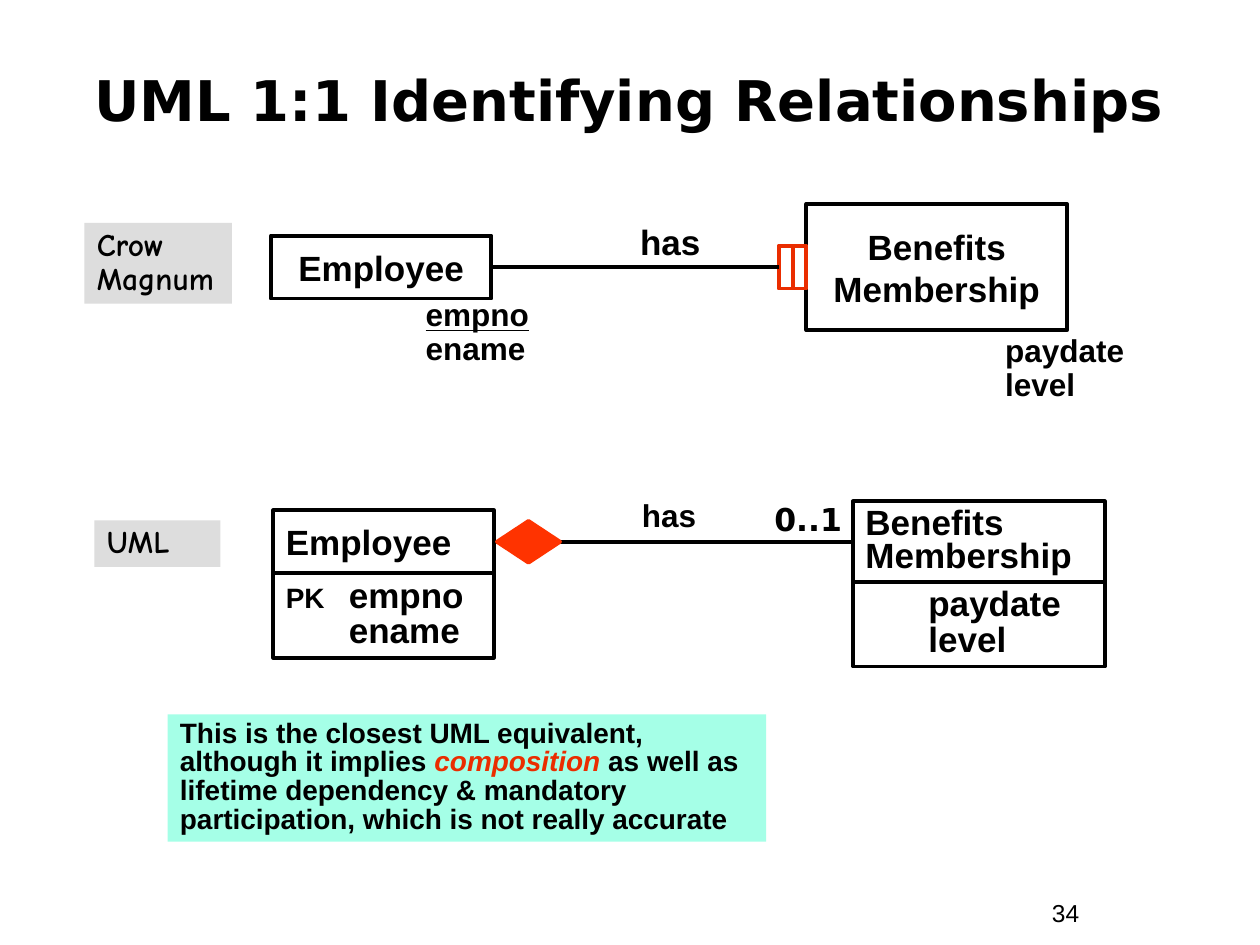
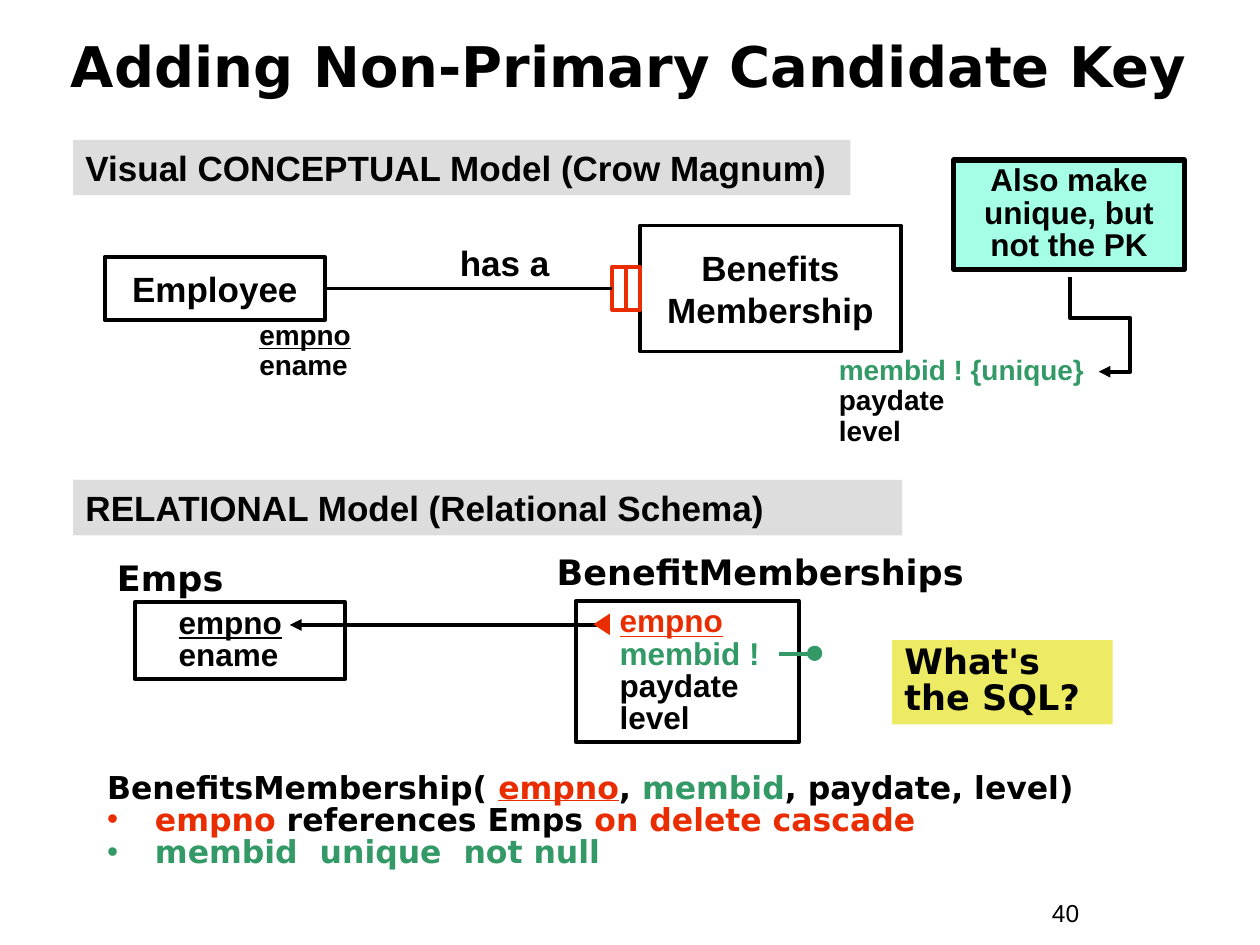
from lxml import etree
from pptx import Presentation
from pptx import util as u
from pptx.dml import color
from pptx.enum import shapes, text
from pptx.oxml import ns

SCALE = 9144
BLACK, RED, GREEN = "000000", "EA2D00", "339966"
GREY, MINT, YELLOW, ORANGE = "DDDDDD", "A5FFE7", "EDEA63", "FF3300"
SANS, TITLE, COMIC = "Arial", "DejaVu Sans", "Comic Neue"
LEFT, CENTER = text.PP_ALIGN.LEFT, text.PP_ALIGN.CENTER
TOP, MIDDLE = text.MSO_ANCHOR.TOP, text.MSO_ANCHOR.MIDDLE
KIND = shapes.MSO_SHAPE
WIRE = shapes.MSO_CONNECTOR


def px(n):
    return u.Emu(n * SCALE)


def rgb(value):
    return color.RGBColor.from_string(value)


def sub(parent, tag, **attrs):
    return etree.SubElement(parent, ns.qn(tag), **attrs)


def run(words, **style):
    return words, style


class Deck:
    def __init__(self):
        self.prs = Presentation()
        self.prs.slide_width, self.prs.slide_height = px(1000), px(750)
        self.s = None

    def slide(self, title, number, top, layout=5, spacing=1.0):
        self.s = self.prs.slides.add_slide(self.prs.slide_layouts[layout])
        sp = self.place(self.s.shapes.title, 33, top, 933, 92)
        self.fill_text(sp, [title], 32, font=TITLE, align=CENTER, anchor=MIDDLE, spacing=spacing)
        self.label(825, 708, 92, 34, [str(number)], 14, bold=False)

    def place(self, sp, x, y, w, h):
        sp.left, sp.top, sp.width, sp.height = map(px, (x, y, w, h))
        return sp

    def fill_text(self, sp, lines, size, font=SANS, bold=True, align=LEFT, anchor=TOP,
                  spacing=1.0, indent=0, hanging=0, tab=None, bullets=(), wrap=True):
        tf = sp.text_frame
        tf.word_wrap, tf.auto_size = wrap, text.MSO_AUTO_SIZE.NONE
        tf.vertical_anchor = anchor
        for i, line in enumerate(lines):
            p = tf.paragraphs[0] if i == 0 else tf.add_paragraph()
            p.alignment, p.line_spacing = align, spacing
            p.space_before = u.Pt(0)
            self.indent(p, indent, hanging, tab, bullets[i] if bullets else None)
            for words, style in [run(line)] if isinstance(line, str) else line:
                for j, part in enumerate(words.split("\n")):
                    if j:
                        p.add_line_break()
                    r = p.add_run()
                    r.text = part
                    r.font.name, r.font.bold = font, bold
                    r.font.size = u.Pt(style.get("size", size))
                    r.font.color.rgb = rgb(style.get("ink", BLACK))
                    r.font.underline = style.get("underline")
                    r.font.italic = style.get("italic")

    def indent(self, p, indent, hanging, tab, bullet):
        pPr = p._p.get_or_add_pPr()
        pPr.set("marL", str(px(indent)))
        pPr.set("indent", str(px(-hanging)))
        if bullet:
            sub(sub(pPr, "a:buClr"), "a:srgbClr", val=bullet)
            sub(pPr, "a:buFont", typeface=SANS)
            sub(pPr, "a:buChar", char="•")
        else:
            sub(pPr, "a:buNone")
        if tab:
            sub(sub(pPr, "a:tabLst"), "a:tab", pos=str(px(tab)), algn="l")

    def label(self, x, y, w, h, lines, size, **style):
        sp = self.s.shapes.add_textbox(*map(px, (x, y, w, h)))
        self.fill_text(sp, lines, size, **style)

    def body(self, x, y, w, h, lines, size, **style):
        sp = self.place(self.s.placeholders[1], x, y, w, h)
        self.fill_text(sp, lines, size, **style)

    def shape(self, x, y, w, h, kind=KIND.RECTANGLE, fill=None, line=None, weight=2.25, turn=0):
        sp = self.s.shapes.add_shape(kind, *map(px, (x, y, w, h)))
        sp.shadow.inherit = False
        sp.rotation = turn
        if fill:
            sp.fill.solid()
            sp.fill.fore_color.rgb = rgb(fill)
        else:
            sp.fill.background()
        if line:
            sp.line.color.rgb = rgb(line)
            sp.line.width = u.Pt(weight)
        else:
            sp.line.fill.background()
        return sp

    def box(self, x, y, w, h, lines, size, fill=None, line=None, weight=2.25, **style):
        sp = self.shape(x, y, w, h, fill=fill, line=line, weight=weight)
        self.fill_text(sp, lines, size, **style)
        return sp

    def entity(self, x, y, w, h, name, **style):
        return self.box(x, y, w, h, [name], 20, line=BLACK, anchor=MIDDLE, **style)

    def wire(self, x1, y1, x2, y2, ink=BLACK, arrow=False, kind=WIRE.STRAIGHT):
        c = self.s.shapes.add_connector(kind, *map(px, (x1, y1, x2, y2)))
        c.line.color.rgb = rgb(ink)
        c.line.width = u.Pt(2.25)
        spPr = c._element.spPr
        if arrow:
            sub(spPr.find(ns.qn("a:ln")), "a:tailEnd", type="triangle")
        sub(spPr, "a:effectLst")
        return c

    def join(self, start, end):
        c = self.wire(0, 0, 1, 1)
        c.begin_connect(start, 3)
        c.end_connect(end, 1)

    def elbow(self, x, y, w, h, turn, *bends):
        c = self.wire(x, y, x + w, y + h, arrow=True, kind=WIRE.ELBOW)
        spPr = c._element.spPr
        xfrm = spPr.find(ns.qn("a:xfrm"))
        xfrm.set("rot", str(turn * 60000))
        xfrm.set("flipH", "1")
        geom = spPr.find(ns.qn("a:prstGeom"))
        geom.set("prst", f"bentConnector{len(bends) + 2}")
        for old in list(geom):
            geom.remove(old)
        guides = sub(geom, "a:avLst")
        for i, bend in enumerate(bends, 1):
            sub(guides, "a:gd", name=f"adj{i}", fmla=f"val {bend * 1000}")

    def crow_magnum(self, x, y, verb, verb_width, size, attributes):
        employee = self.entity(x, y, 175, 50, "Employee", align=CENTER)
        self.entity(x + 425, y - 25, 207, 100, "Benefits\nMembership", align=CENTER)
        bars = [self.shape(x + left, y + 8, 11, 34, line=RED) for left in (414, 403)]
        self.s.shapes.add_group_shape(bars)
        self.join(employee, bars[1])
        self.label(x + 317 - verb_width // 2, y - 17, verb_width, 44, [verb], 20,
                   align=CENTER, wrap=False)
        self.label(x + 113, y + 46, 121, 64, [[run("empno", underline=True)], "ename"],
                   size, spacing=0.9)
        self.label(x + 573, y + 74, 244, 82, attributes, size, spacing=0.9)


def identifying(d):
    d.slide("UML 1:1 Identifying Relationships", 34, 33)
    d.box(75, 413, 100, 37, ["UML"], 18, fill=GREY, font=COMIC, spacing=0.9)
    d.box(67, 177, 117, 64, ["Crow\nMagnum"], 18, fill=GREY, font=COMIC, spacing=0.9)
    d.crow_magnum(215, 187, "has", 68, 18, ["paydate", "level"])

    employee = d.entity(217, 405, 175, 50, "Employee")
    benefits = d.entity(677, 398, 200, 64, "Benefits\nMembership", spacing=0.8)
    d.join(employee, benefits)
    d.box(217, 455, 175, 67, [[run("PK", size=16), run("\tempno")], "\tename"], 20,
          line=BLACK, spacing=0.85, tab=51)
    d.box(677, 462, 200, 67, ["\tpaydate", "\tlevel"], 20, line=BLACK, spacing=0.85, tab=50)
    d.shape(403, 405, 33, 50, KIND.FLOWCHART_SORT, fill=ORANGE, line=ORANGE, turn=270)
    d.label(468, 393, 126, 36, ["has"], 18, align=CENTER, spacing=0.85)
    d.label(600, 392, 83, 40, ["0..1"], 18, font=TITLE, align=CENTER)
    d.box(133, 567, 475, 101, [[
        run("This is the closest UML equivalent, although it implies "),
        run("composition", ink=RED, italic=True),
        run(" as well as lifetime dependency & mandatory participation, "
            "which is not really accurate")]], 16, fill=MINT, spacing=0.85)


def candidate_key(d):
    d.slide("Adding Non-Primary Candidate Key", 40, 11, layout=1, spacing=0.8)
    d.box(58, 111, 617, 44, ["Visual CONCEPTUAL Model (Crow Magnum)"], 20, fill=GREY)
    d.box(58, 381, 658, 44, ["RELATIONAL Model (Relational Schema)"], 20, fill=GREY)
    d.crow_magnum(83, 204, "has a", 91, 16,
                  [[run("membid ! {unique}", ink=GREEN)], "paydate", "level"])
    d.box(757, 127, 183, 87, ["Also make unique, but not the PK"], 18, fill=MINT,
          line=BLACK, weight=3, align=CENTER, spacing=0.85)
    d.elbow(823, 246, 75, 23, 270, 43, 209)

    d.label(83, 437, 215, 44, ["Emps"], 20, font=TITLE)
    d.label(432, 437, 485, 39, ["BenefitMemberships"], 20, font=TITLE, spacing=0.85)
    d.box(107, 478, 167, 61, [[run("empno", underline=True)], "ename"], 18,
          line=BLACK, spacing=0.85, indent=25)
    d.box(457, 477, 177, 112,
          [[run("empno", ink=RED, underline=True)], [run("membid !", ink=GREEN)],
           "paydate", "level"], 18, line=BLACK, spacing=0.85, indent=25)
    d.wire(484, 496, 230, 496, arrow=True)
    d.shape(469, 489, 17, 13, KIND.ISOSCELES_TRIANGLE, fill=RED, turn=270)
    dot = d.shape(642, 514, 9, 9, KIND.OVAL, fill=GREEN, line=GREEN)
    d.s.shapes.add_group_shape([dot, d.wire(643, 519, 618, 519, ink=GREEN)])
    d.box(708, 508, 175, 67, ["What's\nthe SQL?"], 20, fill=YELLOW, font=TITLE, spacing=0.85)
    d.body(75, 609, 842, 87, [
        [run("BenefitsMembership( "), run("empno", ink=RED, underline=True), run(", "),
         run("membid", ink=GREEN), run(", paydate, level)")],
        [run("empno", ink=RED), run(" references Emps "), run("on delete cascade", ink=RED)],
        [run("membid  unique  not null", ink=GREEN)],
    ], 18, font=TITLE, spacing=0.85, indent=38, hanging=38, bullets=(None, RED, GREEN))


def main():
    d = Deck()
    identifying(d)
    candidate_key(d)
    d.prs.save("out.pptx")


if __name__ == "__main__":
    main()
